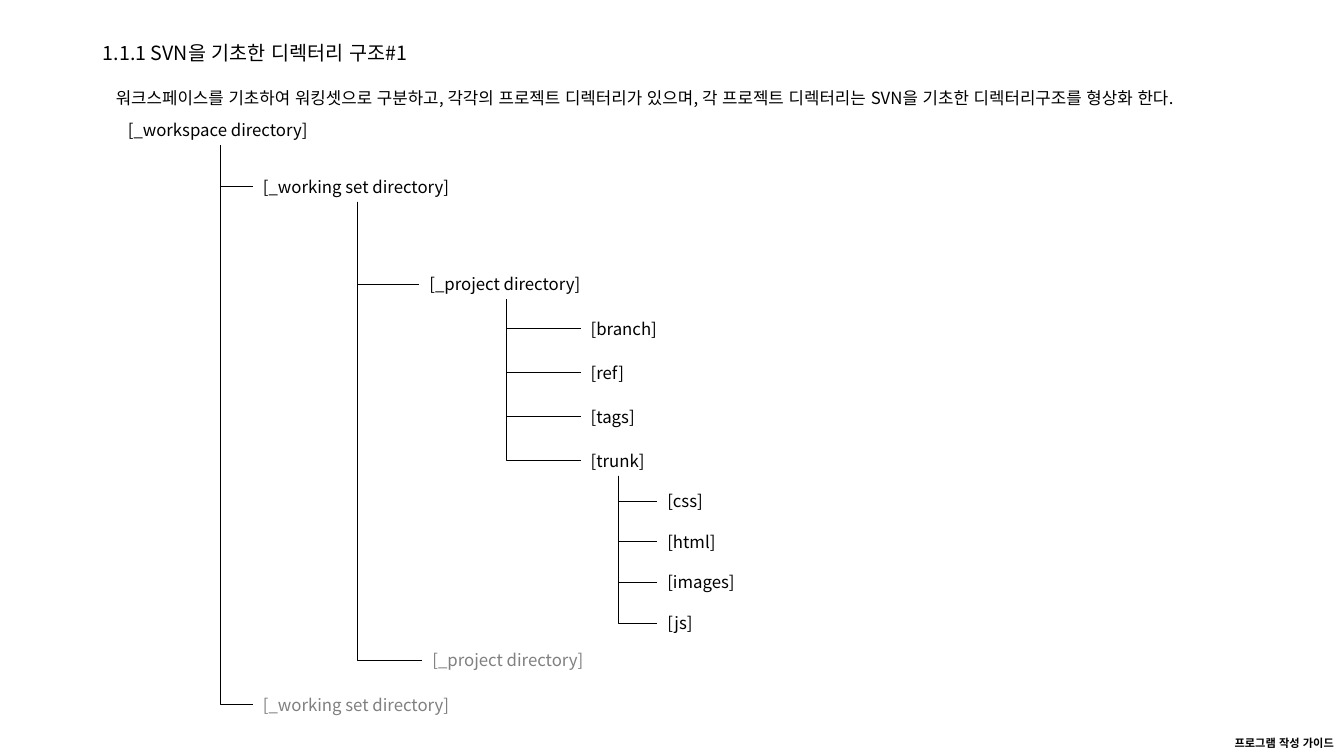
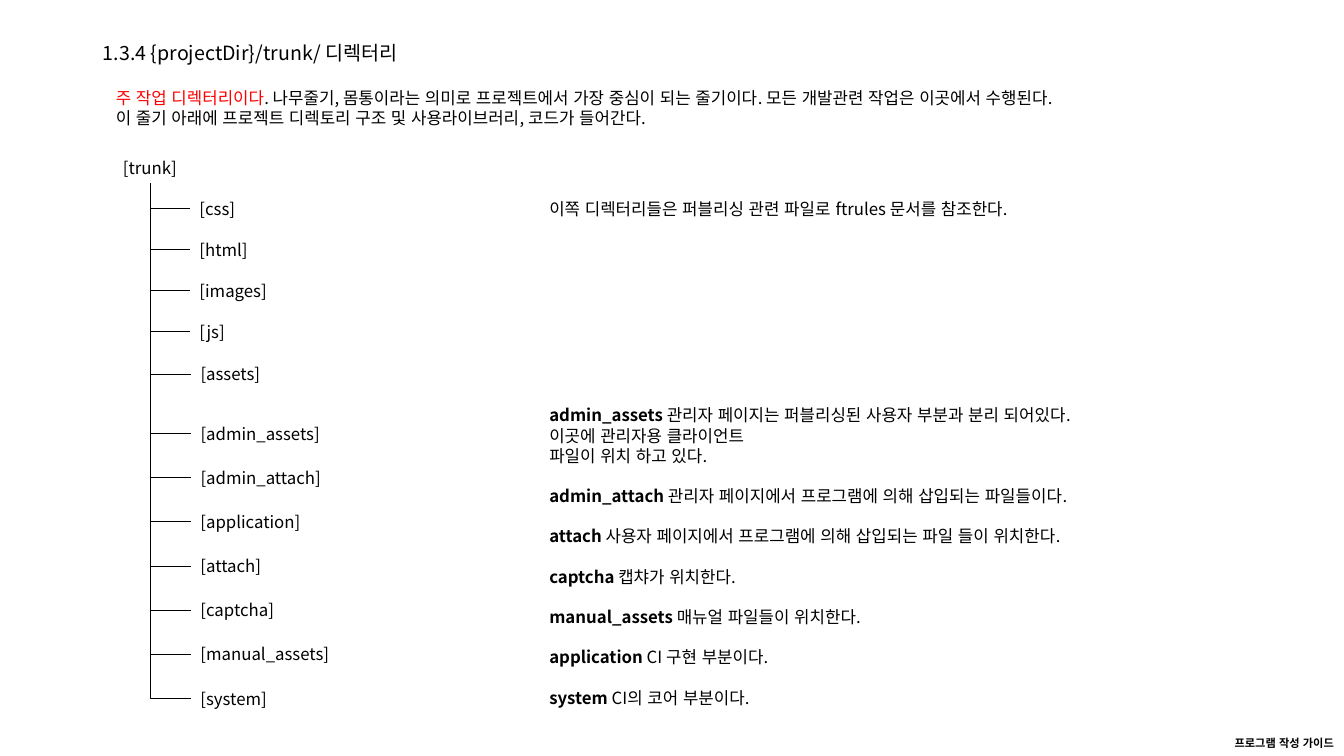
from lxml.etree import SubElement
from pptx import Presentation
from pptx.dml.color import RGBColor
from pptx.enum.lang import MSO_LANGUAGE_ID
from pptx.enum.shapes import MSO_CONNECTOR
from pptx.enum.text import MSO_ANCHOR, MSO_AUTO_SIZE, PP_ALIGN
from pptx.oxml.ns import qn
from pptx.util import Inches, Pt

FONT = "Noto Sans CJK KR"
BLACK, GREY, RED = "000000", "808080", "FF0000"
LABEL_H = 0.3


def rgb(value):
    return RGBColor.from_string(value)


class Deck:
    """Holds the shared style and the slide being filled."""

    def __init__(self, footer):
        self.prs = Presentation()
        self.prs.slide_width, self.prs.slide_height = Inches(13.33), Inches(7.5)
        self.layout = self.prs.slide_layouts[5]
        title = self.layout.placeholders[0]
        title.left, title.top = Inches(0.92), Inches(0.4)
        title.width, title.height = Inches(11.5), Inches(0.27)
        self.footer = footer
        self.slide = None

    def new_slide(self, title):
        first = self.slide is None
        self.slide = self.prs.slides.add_slide(self.layout)
        if first:
            self.add_master_footer()
        tf = self.slide.shapes.title.text_frame
        tf.text = title
        tf.auto_size = MSO_AUTO_SIZE.NONE
        tf.vertical_anchor = MSO_ANCHOR.MIDDLE
        p = tf.paragraphs[0]
        p.alignment, p.line_spacing = PP_ALIGN.LEFT, 0.9
        self.style(p.runs[0], size=14)

    def add_master_footer(self):
        """Move a text box to the master, so that every slide shows it."""
        sp = self.text((0, 7.26, 13.33, 0.24), [self.footer], size=8, bold=True)
        sp.text_frame.paragraphs[0].alignment = PP_ALIGN.RIGHT
        sp._element.nvSpPr.cNvPr.set("id", "20")
        self.prs.slide_master.shapes._spTree.append(sp._element)

    def style(self, r, size=12, color=BLACK, bold=False):
        r.font.size, r.font.bold, r.font.name = Pt(size), bold, FONT
        r.font.language_id = MSO_LANGUAGE_ID.KOREAN
        r.font.color.rgb = rgb(color)
        SubElement(r._r.get_or_add_rPr(), qn("a:ea"), typeface=FONT)

    def text(self, at, lines, **style):
        sp = self.slide.shapes.add_textbox(*map(Inches, at))
        tf = sp.text_frame
        tf.word_wrap = True
        tf.text = "\n".join(lines)
        for p in tf.paragraphs:
            self.style(p.runs[0], **style)
        return sp

    def append(self, p, text):
        r = p.add_run()
        r.text = text
        self.style(r)

    def label(self, text, x, y, width, color=BLACK):
        return self.text((x, y, width, LABEL_H), [f"[{text}]"], color=color)

    def column(self, items, x, first, last):
        """Spread labels, given as (text, width), evenly from first to last top."""
        step = (last - first) / (len(items) - 1)
        return [self.label(text, x, first + i * step, width)
                for i, (text, width) in enumerate(items)]

    def elbow(self, parent, child, reach):
        """Run down from below the parent, then right to the child."""
        x1, x2 = parent.left + parent.width // 2, child.left
        bottom = parent.top + parent.height
        y2 = child.top + child.height // 2
        y1 = max(bottom, y2 - Inches(reach))
        cx = self.slide.shapes.add_connector(MSO_CONNECTOR.ELBOW, x1, y1, x2, y2)
        if y1 == bottom:
            cx.begin_connect(parent, 2)
        cx.end_connect(child, 1)
        # A one-bend connector turns right first, so it is rotated and mirrored.
        dx, dy = x2 - x1, y2 - y1
        cx.left, cx.top = (x1 + x2 - dy) // 2, (y1 + y2 - dx) // 2
        cx.width, cx.height = dy, dx
        spPr = cx._element.spPr
        spPr.find(qn("a:prstGeom")).set("prst", "bentConnector2")
        xfrm = spPr.find(qn("a:xfrm"))
        xfrm.set("rot", str(270 * 60000))
        xfrm.set("flipH", "1")
        cx.line.color.rgb, cx.line.width = rgb(BLACK), Pt(0.5)
        SubElement(spPr, qn("a:effectLst"))

    def branch(self, parent, children, reach=7.5):
        for child in children:
            self.elbow(parent, child, reach)


PUBLISHING = [("css", 0.64), ("html", 0.71), ("images", 0.94), ("js", 0.5)]
PROGRAM = [("admin_assets", 1.45), ("admin_attach", 1.45), ("application", 1.23),
           ("attach", 0.86), ("captcha", 1), ("manual_assets", 1.54), ("system", 0.93)]
NOTES = [
    ("admin_assets", " 관리자 페이지는 퍼블리싱된 사용자 부분과 분리 되어있다. 이곳에 관리자용 클라이언트"),
    ("admin_attach", " 관리자 페이지에서 프로그램에 의해 삽입되는 파일들이다."),
    ("attach", " 사용자 페이지에서 프로그램에 의해 삽입되는 파일 들이 위치한다."),
    ("captcha", " 캡챠가 위치한다."),
    ("manual_assets", " 매뉴얼 파일들이 위치한다."),
    ("application", " CI 구현 부분이다."),
    ("system", " CI의 코어 부분이다."),
]


def svn_structure(deck):
    deck.new_slide("1.1.1 SVN을 기초한 디렉터리 구조#1")
    deck.text((1.05, 0.82, 11.72, 0.3), [
        "워크스페이스를 기초하여 워킹셋으로 구분하고, 각각의 프로젝트 디렉터리가 있으며, "
        "각 프로젝트 디렉터리는 SVN을 기초한 디렉터리구조를 형상화 한다."])
    workspace = deck.label("_workspace directory", 1.17, 1.14, 2.03)
    working_set = deck.label("_working set directory", 2.51, 1.7, 2.07)
    project = deck.label("_project directory", 4.16, 2.67, 1.72)
    other_project = deck.label("_project directory", 4.19, 6.4, 1.72, GREY)
    other_set = deck.label("_working set directory", 2.51, 6.84, 2.07, GREY)
    folders = deck.column([("branch", 0.91), ("ref", 0.58), ("tags", 0.71), ("trunk", 0.75)],
                          5.76, 3.11, 4.42)
    files = deck.column(PUBLISHING, 6.52, 4.82, 6.03)
    deck.branch(workspace, [working_set, other_set])
    deck.branch(working_set, [project, other_project])
    deck.branch(project, folders)
    deck.branch(folders[-1], files)


def trunk_directory(deck):
    deck.new_slide("1.3.4 {projectDir}/trunk/ 디렉터리")
    intro = deck.text((1.05, 0.82, 12.13, 0.71), [
        "주 작업 디렉터리이다",
        "이 줄기 아래에 프로젝트 디렉토리 구조 및 사용라이브러리, 코드가 들어간다."])
    p = intro.text_frame.paragraphs[0]
    p.runs[0].font.color.rgb = rgb(RED)
    deck.append(p, ". 나무줄기, 몸통이라는 의미로 프로젝트에서 가장 중심이 되는 줄기이다. "
                   "모든 개발관련 작업은 이곳에서 수행된다.")

    trunk = deck.label("trunk", 1.12, 1.52, 0.75)
    folders = (deck.column(PUBLISHING, 1.88, 1.92, 3.14)
               + [deck.label("assets", 1.89, 3.56, 0.88)]
               + deck.column(PROGRAM, 1.89, 4.15, 6.78))
    deck.branch(trunk, folders, reach=1.47)

    deck.text((5.35, 1.92, 5.63, 0.3),
              ["이쪽 디렉터리들은 퍼블리싱 관련 파일로 ftrules 문서를 참조한다."])
    notes = deck.text((5.35, 3.97, 5.63, 3.13), [name for name, _ in NOTES], bold=True)
    tf = notes.text_frame
    for p, (_, note) in zip(tf.paragraphs, NOTES):
        deck.append(p, note)
        p.space_before = Pt(14.4)
    first = tf.paragraphs[0]
    first.space_before = Pt(0)
    first.add_line_break()
    deck.append(first, "파일이 위치 하고 있다.")


def main():
    deck = Deck("프로그램 작성 가이드")
    svn_structure(deck)
    trunk_directory(deck)
    deck.prs.save("out.pptx")


if __name__ == "__main__":
    main()
